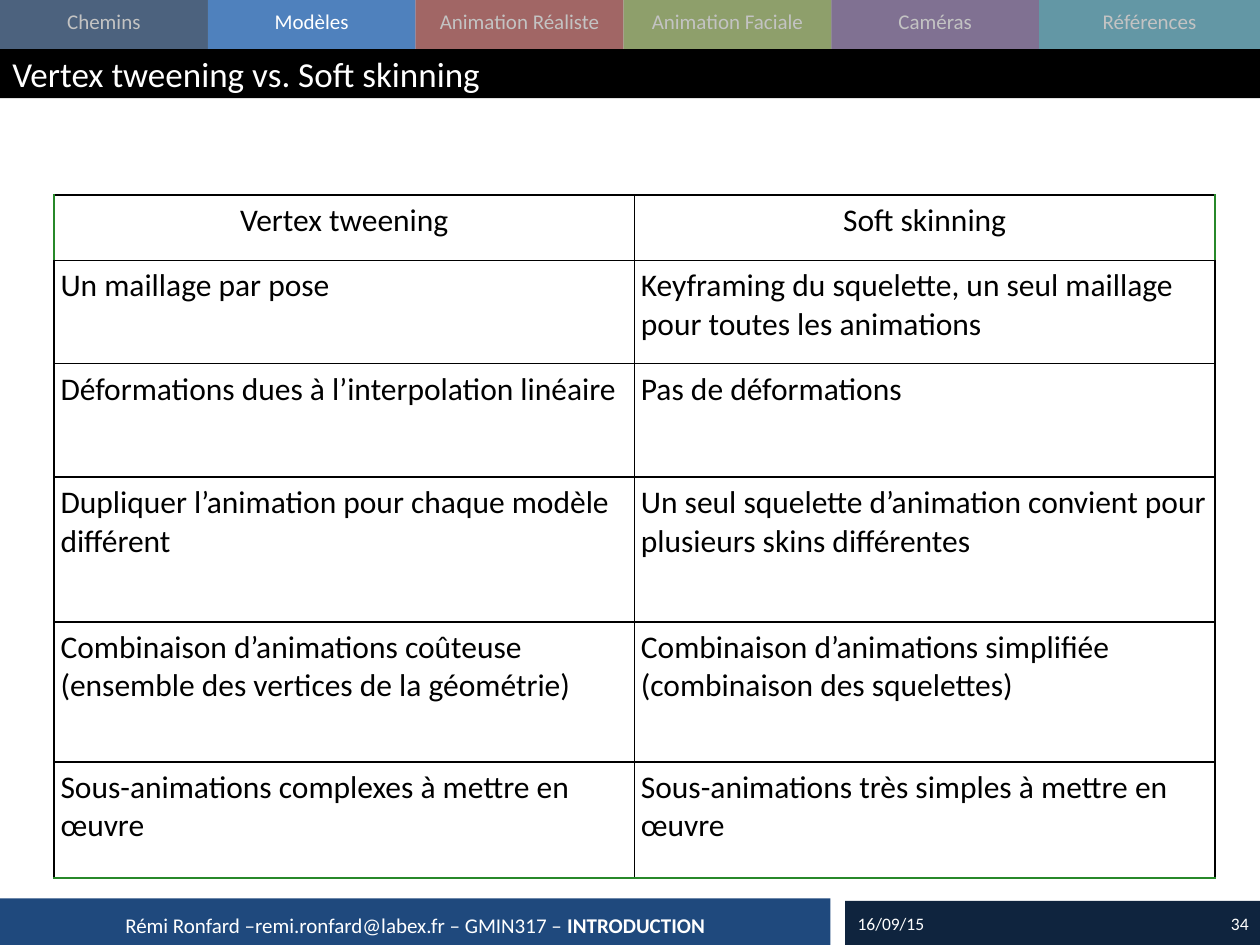
from lxml import etree
from pptx import Presentation, util as u
from pptx.dml.color import RGBColor
from pptx.enum import shapes, text
from pptx.oxml import ns

# Content
TABS = [("Chemins", "1F497D"), ("Modèles", "4F81BD"),
        ("Animation Réaliste", "C0504D"), ("Animation Faciale", "9BBB59"),
        ("Caméras", "8064A2"), ("Références", "4BACC6")]
TITLE = "Vertex tweening vs. Soft skinning"
FOOT = [("Rémi Ronfard –remi.ronfard@labex.fr – GMIN317 – ", False),
        ("INTRODUCTION", True)]
DATE, PAGE = "16/09/15", "34"
ROWS = [
    ("Vertex tweening", "Soft skinning"),
    ("Un maillage par pose",
     "Keyframing du squelette, un seul maillage pour toutes les animations"),
    ("Déformations dues à l’interpolation linéaire", "Pas de déformations"),
    ("Dupliquer l’animation pour chaque modèle différent",
     "Un seul squelette d’animation convient pour plusieurs skins différentes"),
    ("Combinaison d’animations coûteuse (ensemble des vertices de la géométrie)",
     "Combinaison d’animations simplifiée (combinaison des squelettes)"),
    ("Sous-animations complexes à mettre en œuvre",
     "Sous-animations très simples à mettre en œuvre"),
]

# Theme and measures (cm)
THEME = dict(font="Calibri", white="FFFFFF", black="000000", veil="808080",
             foot="1F497D", date="0F243E", edge="278829",
             title=20, cell=18, tab=12, small=10)
WIDE, HIGH = 25.4, 19.05
TAB_W, BAR_H = 4.19, 0.99
HEIGHTS = [1.32, 2.08, 2.29, 2.92, 2.82, 2.34]
COL_W, PAD = 11.7, 0.13
LEFT, MID, RIGHT = text.PP_ALIGN.LEFT, text.PP_ALIGN.CENTER, text.PP_ALIGN.RIGHT

deck = Presentation()
deck.slide_width, deck.slide_height = u.Cm(WIDE), u.Cm(HIGH)
slide = deck.slides.add_slide(deck.slide_layouts[6])


def rgb(name):
    return RGBColor.from_string(THEME.get(name, name))


def write(frame, runs, size="tab", color="white", align=LEFT):
    """Fill a text frame with one paragraph; runs is a string or (text, bold) pairs."""
    frame.word_wrap = True
    para = frame.paragraphs[0]
    para.alignment = align
    for words, bold in [(runs, False)] if isinstance(runs, str) else runs:
        run = para.add_run()
        run.text = words
        font = run.font
        font.name, font.size, font.bold = THEME["font"], u.Pt(THEME[size]), bold
        font.color.rgb = rgb(color)


def label(runs, x, y, w, h, anchor=text.MSO_ANCHOR.MIDDLE, **form):
    frame = slide.shapes.add_textbox(*map(u.Cm, (x, y, w, h))).text_frame
    frame.vertical_anchor = anchor
    write(frame, runs, **form)


def bar(color, x, y, w, h, alpha=None):
    rect = slide.shapes.add_shape(shapes.MSO_SHAPE.RECTANGLE, *map(u.Cm, (x, y, w, h)))
    rect.shadow.inherit = False
    rect.line.fill.background()
    rect.fill.solid()
    rect.fill.fore_color.rgb = rgb(color)
    if alpha:
        tint = rect.fill._xPr.find(".//" + ns.qn("a:srgbClr"))
        etree.SubElement(tint, ns.qn("a:alpha"), val=str(alpha * 1000))


def border(cell, green):
    """Draw the four sides in black, or green for the sides named."""
    props = cell._tc.get_or_add_tcPr()
    for spot, side in enumerate("LRTB"):
        line = etree.Element(ns.qn("a:ln" + side), w=str(u.Pt(1)))
        fill = etree.SubElement(line, ns.qn("a:solidFill"))
        tone = THEME["edge" if side in green else "black"]
        etree.SubElement(fill, ns.qn("a:srgbClr"), val=tone)
        props.insert(spot, line)


# Tabs, with a veil over the inactive ones
for i, (name, color) in enumerate(TABS):
    x = i * TAB_W
    w = TAB_W if i < len(TABS) - 1 else WIDE - x
    bar(color, x, 0, w, BAR_H)
    label(name, x, 0.05, w, 0.76, anchor=text.MSO_ANCHOR.TOP, align=MID)
bar("veil", 2 * TAB_W, 0, WIDE - 2 * TAB_W, BAR_H, alpha=47)
bar("veil", 0, 0, TAB_W, BAR_H, alpha=47)

# Title
bar("black", 0, BAR_H, WIDE, BAR_H)
label(TITLE, 0, BAR_H, WIDE, BAR_H, size="title")

# Footer
bar("foot", 0, 18.11, 16.74, 0.94)
bar("date", 17.04, 18.16, WIDE - 17.04, 0.89)
label(FOOT, 0, 18.16, 16.74, 0.97, align=MID)
label(PAGE, 19.5, 18.14, 5.92, 0.94, size="small", align=RIGHT)
label(DATE, 17.04, 18.14, 2.49, 0.97, size="small")

# Comparison table
grid = slide.shapes.add_table(len(ROWS), 2, u.Cm(1.09), u.Cm(3.93),
                              u.Cm(2 * COL_W), u.Cm(sum(HEIGHTS))).table
grid.first_row = grid.horz_banding = False
for col in grid.columns:
    col.width = u.Cm(COL_W)
for r, (pair, high) in enumerate(zip(ROWS, HEIGHTS)):
    grid.rows[r].height = u.Cm(high)
    for c, words in enumerate(pair):
        cell = grid.cell(r, c)
        cell.margin_left = cell.margin_right = u.Cm(PAD)
        cell.margin_top = cell.margin_bottom = u.Cm(PAD)
        cell.fill.background()
        write(cell.text_frame, words, size="cell", color="black",
              align=LEFT if r else MID)
        border(cell, "LR"[c] if r == 0 else "B" if r == len(ROWS) - 1 else "")

deck.save("out.pptx")
